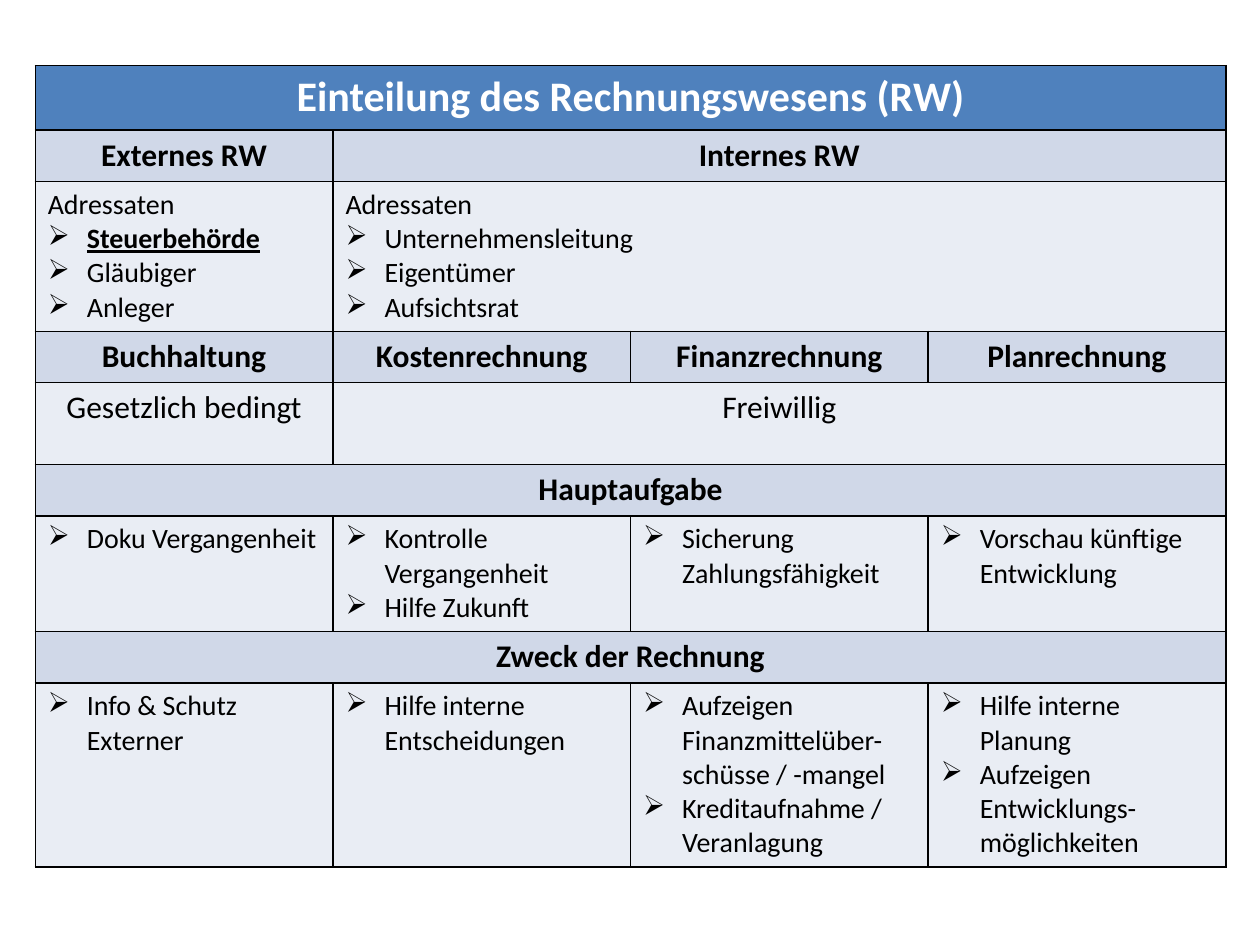
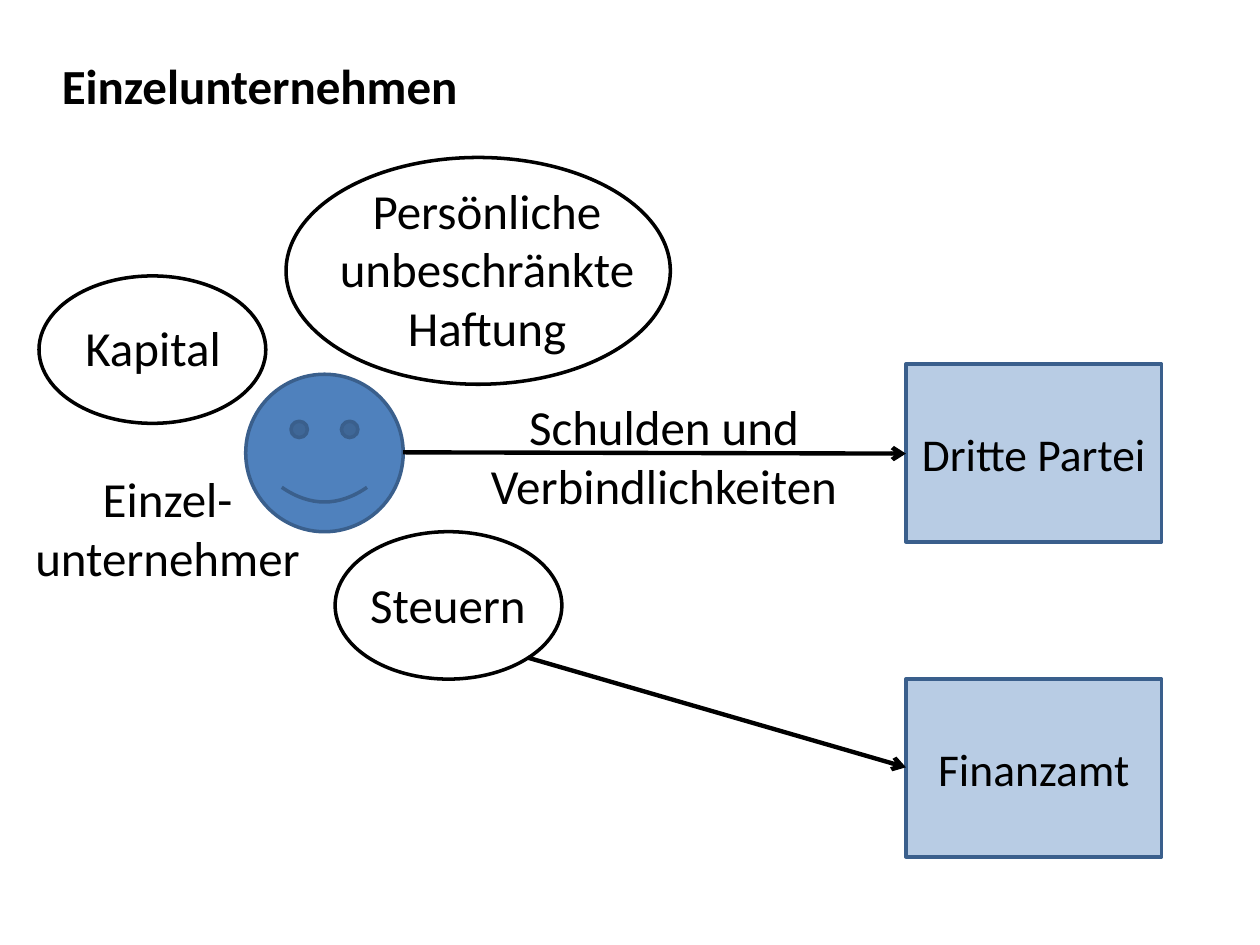
import pptx
import pptx.dml.color
import pptx.enum.dml
import pptx.enum.shapes
import pptx.enum.text
import pptx.oxml
import pptx.oxml.ns
import pptx.util
import lxml.etree

Inches = pptx.util.Inches
Pt = pptx.util.Pt
RGBColor = pptx.dml.color.RGBColor
SHAPE = pptx.enum.shapes.MSO_SHAPE
ALIGN = pptx.enum.text.PP_ALIGN
ANCHOR = pptx.enum.text.MSO_ANCHOR
AUTO_SIZE = pptx.enum.text.MSO_AUTO_SIZE

BLACK = RGBColor(0x00, 0x00, 0x00)
WHITE = RGBColor(0xFF, 0xFF, 0xFF)
BLUE = RGBColor(0x4F, 0x81, 0xBD)
DARK_BLUE = RGBColor(0x3A, 0x5F, 0x8C)
HEADING_FILL = RGBColor(0xD0, 0xD8, 0xE8)
BODY_FILL = RGBColor(0xE9, 0xED, 0xF4)
FONT = "Calibri"


def add_text(paragraph, text, size, color=BLACK, bold=False, align=ALIGN.CENTER):
    paragraph.alignment = align
    run = paragraph.add_run()
    run.text = text
    run.font.name = FONT
    run.font.size = Pt(size)
    run.font.bold = bold
    run.font.color.rgb = color
    return run


def add_label(shapes, lines, left, top, width, height):
    box = shapes.add_textbox(Inches(left), Inches(top), Inches(width), Inches(height))
    frame = box.text_frame
    frame.word_wrap = True
    for index, line in enumerate(lines):
        paragraph = frame.add_paragraph() if index else frame.paragraphs[0]
        add_text(paragraph, line, 28)


presentation = pptx.Presentation()
presentation.slide_width = Inches(10)
presentation.slide_height = Inches(7.5)

slide = presentation.slides.add_slide(presentation.slide_layouts[6])

STYLES = {
    "title": (24, WHITE, True, BLUE, ALIGN.CENTER),
    "heading": (18, BLACK, True, HEADING_FILL, ALIGN.CENTER),
    "plain": (18, BLACK, False, BODY_FILL, ALIGN.CENTER),
    "list": (16, BLACK, False, BODY_FILL, ALIGN.LEFT),
}
ADDRESSEES = "Adressaten"
EMPHASIS = "Steuerbehörde"

table_rows = [
    (0.51, "title", [(4, ["Einteilung des Rechnungswesens (RW)"])]),
    (0.41, "heading", [(1, ["Externes RW"]), (3, ["Internes RW"])]),
    (1.19, "list", [
        (1, [ADDRESSEES, EMPHASIS, "Gläubiger", "Anleger"]),
        (3, [ADDRESSEES, "Unternehmensleitung", "Eigentümer", "Aufsichtsrat"]),
    ]),
    (0.4, "heading", [
        (1, ["Buchhaltung"]),
        (1, ["Kostenrechnung"]),
        (1, ["Finanzrechnung"]),
        (1, ["Planrechnung"]),
    ]),
    (0.65, "plain", [(1, ["Gesetzlich bedingt"]), (3, ["Freiwillig"])]),
    (0.41, "heading", [(4, ["Hauptaufgabe"])]),
    (0.91, "list", [
        (1, ["Doku Vergangenheit"]),
        (1, ["Kontrolle Vergangenheit", "Hilfe Zukunft"]),
        (1, ["Sicherung Zahlungsfähigkeit"]),
        (1, ["Vorschau künftige Entwicklung"]),
    ]),
    (0.41, "heading", [(4, ["Zweck der Rechnung"])]),
    (1.46, "list", [
        (1, ["Info & Schutz Externer"]),
        (1, ["Hilfe interne Entscheidungen"]),
        (1, ["Aufzeigen Finanzmittelüber-schüsse / -mangel",
             "Kreditaufnahme / Veranlagung"]),
        (1, ["Hilfe interne Planung", "Aufzeigen Entwicklungs-möglichkeiten"]),
    ]),
]

table_height = sum(height for height, style, cells in table_rows)
table = slide.shapes.add_table(
    len(table_rows), 4, Inches(0.28), Inches(0.52), Inches(9.45), Inches(table_height)
).table
table.first_row = False
table.horz_banding = False

for row_index, (height, style, cells) in enumerate(table_rows):
    size, color, bold, fill, align = STYLES[style]
    table.rows[row_index].height = Inches(height)
    for cell in table.rows[row_index].cells:
        properties = cell._tc.get_or_add_tcPr()
        for side in ("lnL", "lnR", "lnT", "lnB"):
            properties.append(pptx.oxml.parse_xml(
                f'<a:{side} {pptx.oxml.ns.nsdecls("a")} w="{Pt(1)}">'
                f'<a:solidFill><a:srgbClr val="{BLACK}"/></a:solidFill></a:{side}>'
            ))
        cell.fill.solid()
        cell.fill.fore_color.rgb = fill
    column = 0
    for span, lines in cells:
        cell = table.cell(row_index, column)
        if span > 1:
            cell.merge(table.cell(row_index, column + span - 1))
        column += span
        for index, line in enumerate(lines):
            frame = cell.text_frame
            paragraph = frame.add_paragraph() if index else frame.paragraphs[0]
            emphasized = line == EMPHASIS
            run = add_text(paragraph, line, size, color, bold or emphasized, align)
            if emphasized:
                run.font.underline = True
            if style == "list" and line != ADDRESSEES:
                properties = paragraph._p.get_or_add_pPr()
                properties.set("marL", str(Inches(0.31)))
                properties.set("indent", str(-Inches(0.31)))
                bullet = lxml.etree.SubElement(properties, pptx.oxml.ns.qn("a:buChar"))
                bullet.set("char", "➢")

slide = presentation.slides.add_slide(presentation.slide_layouts[5])

title = slide.shapes.title
title.left, title.top = Inches(0.39), Inches(0.39)
title.width, title.height = Inches(3.38), Inches(0.57)
title.text_frame.word_wrap = False
title.text_frame.auto_size = AUTO_SIZE.NONE
title.text_frame.vertical_anchor = ANCHOR.TOP
add_text(title.text_frame.paragraphs[0], "Einzelunternehmen", 28, bold=True, align=ALIGN.LEFT)

recipients = []
for name, top in (("Dritte Partei", 2.89), ("Finanzamt", 5.39)):
    box = slide.shapes.add_shape(
        SHAPE.RECTANGLE, Inches(7.19), Inches(top), Inches(2.03), Inches(1.41)
    )
    box.shadow.inherit = False
    box.fill.solid()
    box.fill.fore_color.rgb = BLUE
    fill_color = box._element.spPr.find(".//" + pptx.oxml.ns.qn("a:srgbClr"))
    lxml.etree.SubElement(fill_color, pptx.oxml.ns.qn("a:alpha")).set("val", "40000")
    box.line.color.rgb = DARK_BLUE
    box.line.width = Pt(2)
    box.text_frame.word_wrap = True
    box.text_frame.vertical_anchor = ANCHOR.MIDDLE
    add_text(box.text_frame.paragraphs[0], name, 26)
    recipients.append(box)

owner = slide.shapes.add_shape(
    SHAPE.SMILEY_FACE, Inches(1.95), Inches(2.97), Inches(1.25), Inches(1.25)
)
owner.shadow.inherit = False
owner.fill.solid()
owner.fill.fore_color.rgb = BLUE
owner.line.color.rgb = DARK_BLUE
owner.line.width = Pt(2)

add_label(slide.shapes, ["Schulden und Verbindlichkeiten"], 3.67, 3.1, 3.2, 1.04)
add_label(slide.shapes, ["Einzel-unternehmer"], 0, 3.67, 2.66, 1.04)

bubbles = [
    (["Kapital"], (0.16, 2.47, 2.11, 0.57), (0.31, 2.19, 1.8, 1.17)),
    (["Persönliche", "unbeschränkte", "Haftung"],
     (1.25, 1.38, 5.23, 1.51), (2.27, 1.25, 3.05, 1.8)),
    (["Steuern"], (2.5, 4.51, 2.11, 0.57), (2.66, 4.22, 1.8, 1.17)),
]
for lines, label_place, ellipse_place in bubbles:
    group = slide.shapes.add_group_shape()
    add_label(group.shapes, lines, *label_place)
    ellipse = group.shapes.add_shape(SHAPE.OVAL, *map(Inches, ellipse_place))
    ellipse.shadow.inherit = False
    ellipse.fill.background()
    ellipse.line.color.rgb = BLACK
    ellipse.line.width = Pt(2)

arrows = [
    ((3.2, 3.59), (7.19, 3.6)),
    ((4.19, 5.22), (7.19, 6.09)),
]
for start, end in arrows:
    arrow = slide.shapes.add_connector(
        pptx.enum.shapes.MSO_CONNECTOR.STRAIGHT, *map(Inches, start + end)
    )
    arrow.line.color.rgb = BLACK
    arrow.line.width = Pt(2.5)
    line = arrow.line._get_or_add_ln()
    lxml.etree.SubElement(line, pptx.oxml.ns.qn("a:tailEnd")).set("type", "arrow")
    lxml.etree.SubElement(arrow._element.spPr, pptx.oxml.ns.qn("a:effectLst"))

presentation.save("out.pptx")
